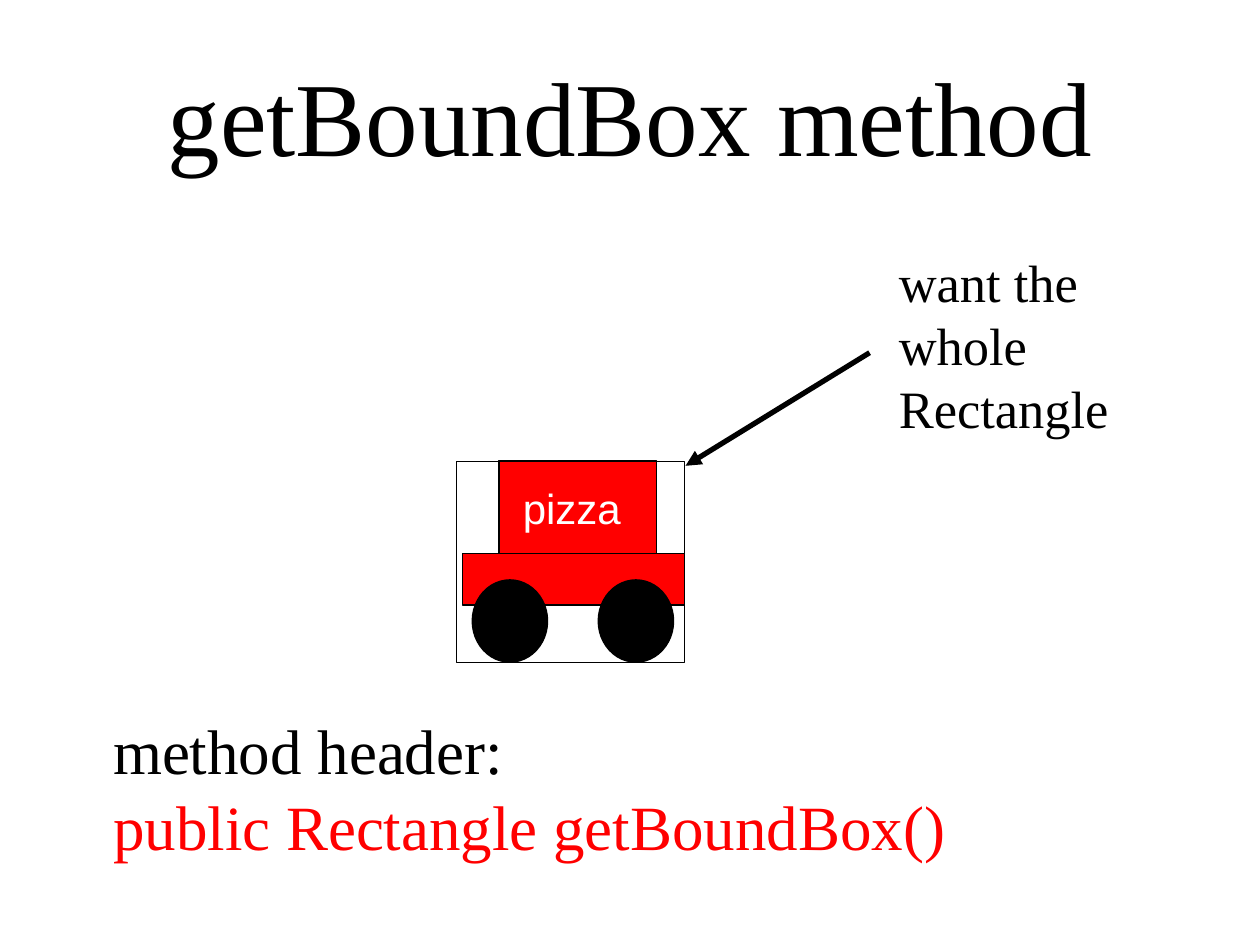
from dataclasses import dataclass

from lxml import etree
from pptx import Presentation
from pptx.dml.color import RGBColor
from pptx.enum.shapes import MSO_CONNECTOR, MSO_SHAPE
from pptx.enum.text import MSO_ANCHOR, MSO_AUTO_SIZE, PP_ALIGN
from pptx.oxml.ns import qn
from pptx.util import Cm, Pt

RECTANGLE, OVAL = MSO_SHAPE.RECTANGLE, MSO_SHAPE.OVAL
LEFT, CENTER = PP_ALIGN.LEFT, PP_ALIGN.CENTER
TOP, MIDDLE = MSO_ANCHOR.TOP, MSO_ANCHOR.MIDDLE
STRAIGHT = MSO_CONNECTOR.STRAIGHT
NO_FIT = MSO_AUTO_SIZE.NONE
SERIF, SANS = "Times New Roman", "Arial"
BLACK, RED, WHITE = "000000", "FF0000", "FFFFFF"


@dataclass
class Part:
    """One piece of the car, in centimetres; no fill means outline only."""
    kind: int
    left: float
    top: float
    width: float
    height: float
    fill: str | None = None


@dataclass
class Line:
    """One paragraph of text."""
    text: str
    color: str = BLACK


def color(value: str) -> RGBColor:
    return RGBColor.from_string(value)


def place(shape, left: float, top: float, width: float, height: float) -> None:
    shape.left, shape.top = Cm(left), Cm(top)
    shape.width, shape.height = Cm(width), Cm(height)


def write(shape, lines: list[Line], size: int, align=LEFT) -> None:
    """Fill a shape with top-anchored serif paragraphs without bullets."""
    frame = shape.text_frame
    frame.word_wrap, frame.auto_size = True, NO_FIT
    frame.vertical_anchor = TOP
    frame.margin_left = frame.margin_right = Cm(0.25)
    frame.margin_top = frame.margin_bottom = Cm(0.25)
    for index, line in enumerate(lines):
        paragraph = frame.paragraphs[0] if index == 0 else frame.add_paragraph()
        paragraph.text = line.text
        paragraph.alignment = align
        paragraph.space_before = Pt(0)
        paragraph.font.name, paragraph.font.size = SERIF, Pt(size)
        paragraph.font.color.rgb = color(line.color)
        properties = paragraph._p.get_or_add_pPr()
        properties.set("marL", "0")
        properties.set("indent", "0")
        no_bullet = etree.Element(qn("a:buNone"))
        properties.insert_element_before(no_bullet, "a:tabLst", "a:defRPr", "a:extLst")


def draw(slide, part: Part):
    shape = slide.shapes.add_shape(
        part.kind, Cm(part.left), Cm(part.top), Cm(part.width), Cm(part.height))
    shape.shadow.inherit = False
    shape.line.color.rgb, shape.line.width = color(BLACK), Pt(0.75)
    if part.fill:
        shape.fill.solid()
        shape.fill.fore_color.rgb = color(part.fill)
    else:
        shape.fill.background()
    return shape


def draw_arrow(slide, start: tuple[float, float], end: tuple[float, float]) -> None:
    arrow = slide.shapes.add_connector(
        STRAIGHT, Cm(start[0]), Cm(start[1]), Cm(end[0]), Cm(end[1]))
    arrow.line.color.rgb, arrow.line.width = color(BLACK), Pt(3)
    etree.SubElement(arrow.line._get_or_add_ln(), qn("a:tailEnd"), type="triangle")
    etree.SubElement(arrow._element.spPr, qn("a:effectLst"))


presentation = Presentation()
presentation.slide_width, presentation.slide_height = Cm(25.4), Cm(19.05)
slide = presentation.slides.add_slide(presentation.slide_layouts[1])

# Title
title = slide.shapes.title
place(title, 2.5, 0.79, 20.4, 2.39)
write(title, [Line("getBoundBox method")], 60, CENTER)

# Cabin with its label
cabin = draw(slide, Part(RECTANGLE, 10.06, 9.29, 3.18, 1.9, RED))
frame = cabin.text_frame
frame.vertical_anchor = MIDDLE
frame.margin_left = Cm(0.48)
label = frame.paragraphs[0]
label.text, label.alignment = "pizza", LEFT
label.font.name, label.font.size = SANS, Pt(24)
label.font.color.rgb = color(WHITE)

# Chassis, wheels and bounding box
wheels = [Part(OVAL, left, 11.69, 1.52, 1.66, BLACK) for left in (9.52, 12.06)]
chassis = Part(RECTANGLE, 9.33, 11.16, 4.47, 1.04, RED)
bounding_box = Part(RECTANGLE, 9.21, 9.31, 4.59, 4.04)
for part in [chassis, *wheels, bounding_box]:
    draw(slide, part)

# Remark pointing at the bounding box
draw_arrow(slide, (17.53, 7.11), (13.82, 9.39))
remark = slide.shapes.add_textbox(Cm(17.87), Cm(4.8), Cm(6.65), Cm(2.39))
write(remark, [Line("want the whole Rectangle")], 30)

# Method header
body = slide.placeholders[1]
place(body, 2.03, 14.1, 20.4, 2.39)
write(body, [Line("method header:"), Line("public Rectangle getBoundBox()", RED)], 36)

presentation.save("out.pptx")
